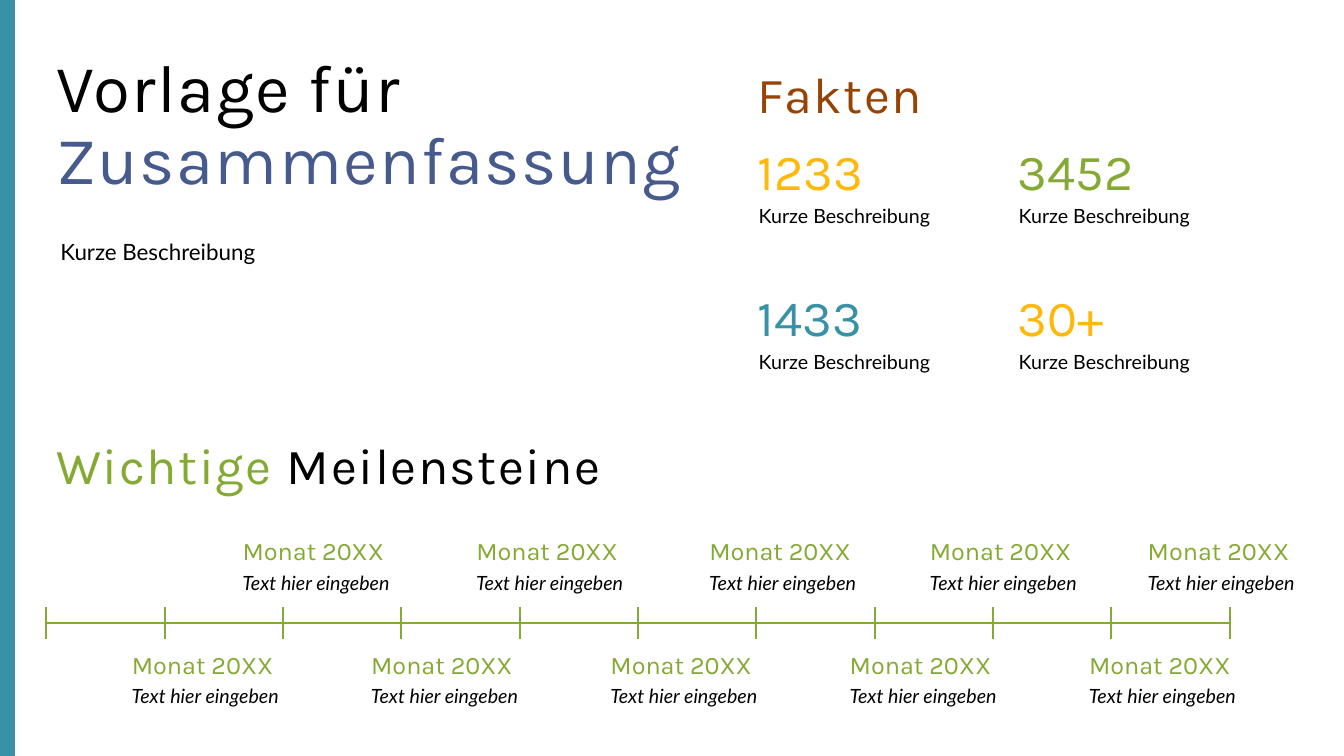
import dataclasses

import pptx
import pptx.dml.color
import pptx.enum.shapes
import pptx.enum.text
import pptx.oxml.ns
import pptx.util
from lxml import etree
from pptx.util import Cm


@dataclasses.dataclass(frozen=True)
class Theme:
    black: str = "000000"
    blue: str = "475A8D"
    brown: str = "964305"
    yellow: str = "FEB80A"
    teal: str = "3891A7"
    green: str = "84AA33"
    heading_font: str = "Karla"
    body_font: str = "Lato"
    title_size: int = 48
    heading_size: int = 36
    month_size: int = 18
    intro_size: int = 16
    body_size: int = 14
    tracking: int = 110  # hundredths of a point
    line_width: float = 1.5


THEME = Theme()
SHAPES = pptx.enum.shapes.MSO_SHAPE


def rgb(value):
    return pptx.dml.color.RGBColor.from_string(value)


def add_text(shapes, spans, left, top, width, height, *, size, font,
             rounded=False, italic=False, tracking=0, line_spacing=1.0, grow=True):
    """Write (text, colour) spans as one left-aligned paragraph."""
    place = Cm(left), Cm(top), Cm(width), Cm(height)
    if rounded:
        box = shapes.add_shape(SHAPES.ROUNDED_RECTANGLE, *place)
        box.adjustments[0] = 0.08
        box.shadow.inherit = False
        box.fill.background()
        box.line.fill.background()
    else:
        box = shapes.add_textbox(*place)
    frame = box.text_frame
    frame.word_wrap = True
    frame.vertical_anchor = pptx.enum.text.MSO_ANCHOR.TOP
    sizing = pptx.enum.text.MSO_AUTO_SIZE
    frame.auto_size = sizing.SHAPE_TO_FIT_TEXT if grow else sizing.NONE
    para = frame.paragraphs[0]
    para.alignment = pptx.enum.text.PP_ALIGN.LEFT
    para.line_spacing = line_spacing
    for index, (text, colour) in enumerate(spans):
        if text.startswith("\n"):
            para.add_line_break()
        span = para.add_run()
        span.text = text.lstrip("\n")
        span.font.name = font
        span.font.size = pptx.util.Pt(size)
        span.font.italic = italic
        span.font.color.rgb = rgb(colour)
        if tracking:
            span.font._element.set("spc", str(tracking))


def add_heading(shapes, spans, left, top, width, height=1.63, *,
                size=THEME.heading_size, tracking=THEME.tracking):
    add_text(shapes, spans, left, top, width, height, size=size,
             font=THEME.heading_font, tracking=tracking, line_spacing=0.9)


def add_caption(shapes, text, left, top, italic=False):
    add_text(shapes, [(text, THEME.black)], left, top, 6.99, 0.89,
             size=THEME.body_size, font=THEME.body_font, rounded=True, italic=italic)


def add_fact(shapes, number, colour, left, top):
    add_heading(shapes, [(number, colour)], left, top, 3.64, tracking=0)
    add_caption(shapes, "Kurze Beschreibung", left, top + 1.42)


def add_milestone(shapes, left, top):
    group = shapes.add_group_shape().shapes
    add_text(group, [("Monat 20XX", THEME.green)], left, top, 6.99, 1.07,
             size=THEME.month_size, font=THEME.heading_font, rounded=True)
    add_caption(group, "Text hier eingeben", left, top + 0.89, italic=True)


def add_line(shapes, left, top, right, bottom):
    line = shapes.add_connector(pptx.enum.shapes.MSO_CONNECTOR.STRAIGHT,
                                Cm(left), Cm(top), Cm(right), Cm(bottom))
    line.line.color.rgb = rgb(THEME.green)
    line.line.width = pptx.util.Pt(THEME.line_width)
    etree.SubElement(line._element.spPr, pptx.oxml.ns.qn("a:effectLst"))


def add_timeline(shapes, left, right, middle, half_tick, steps):
    group = shapes.add_group_shape().shapes
    add_line(group, left, middle, right, middle)
    for step in range(steps + 1):
        tick = left + step * (right - left) / steps
        add_line(group, tick, middle - half_tick, tick, middle + half_tick)


def add_side_bar(shapes, width, height):
    bar = shapes.add_shape(SHAPES.RECTANGLE, 0, 0, Cm(width), Cm(height))
    bar.shadow.inherit = False
    bar.fill.solid()
    bar.fill.fore_color.rgb = rgb(THEME.teal)
    bar.line.fill.background()


def main():
    deck = pptx.Presentation()
    deck.slide_width, deck.slide_height = Cm(33.87), Cm(19.05)
    page = deck.slides.add_slide(deck.slide_layouts[6])
    shapes = page.shapes
    margin = 1.17

    # Title and introduction
    add_heading(shapes, [("Vorlage für", THEME.black), ("\nZusammenfassung", THEME.blue)],
                margin, 1.24, 17.75, 3.91, size=THEME.title_size)
    add_text(shapes, [("Kurze Beschreibung", THEME.black)], margin, 5.77, 14.71, 4.34,
             size=THEME.intro_size, font=THEME.body_font, rounded=True, grow=False)

    # Facts in two columns
    add_heading(shapes, [("Fakten", THEME.brown)], 18.85, 1.63, 13.59)
    facts = [("1233", THEME.yellow), ("3452", THEME.green),
             ("1433", THEME.teal), ("30+", THEME.yellow)]
    for index, (number, colour) in enumerate(facts):
        row, column = divmod(index, 2)
        add_fact(shapes, number, colour, 18.85 + column * 6.55, 3.58 + row * 3.68)

    # Milestones above and below the timeline
    add_heading(shapes, [("Wichtige ", THEME.green), ("Meilensteine", THEME.black)],
                margin, 11, 15.77)
    add_timeline(shapes, margin, 30.99, 15.7, 0.41, 10)
    for left in (5.84, 11.73, 17.6, 23.16, 28.65):
        add_milestone(shapes, left, 13.34)
    for index in range(5):
        add_milestone(shapes, 3.05 + index * 6.03, 16.21)

    # Coloured edge
    add_side_bar(shapes, 0.38, 19.05)

    deck.save("out.pptx")


if __name__ == "__main__":
    main()
